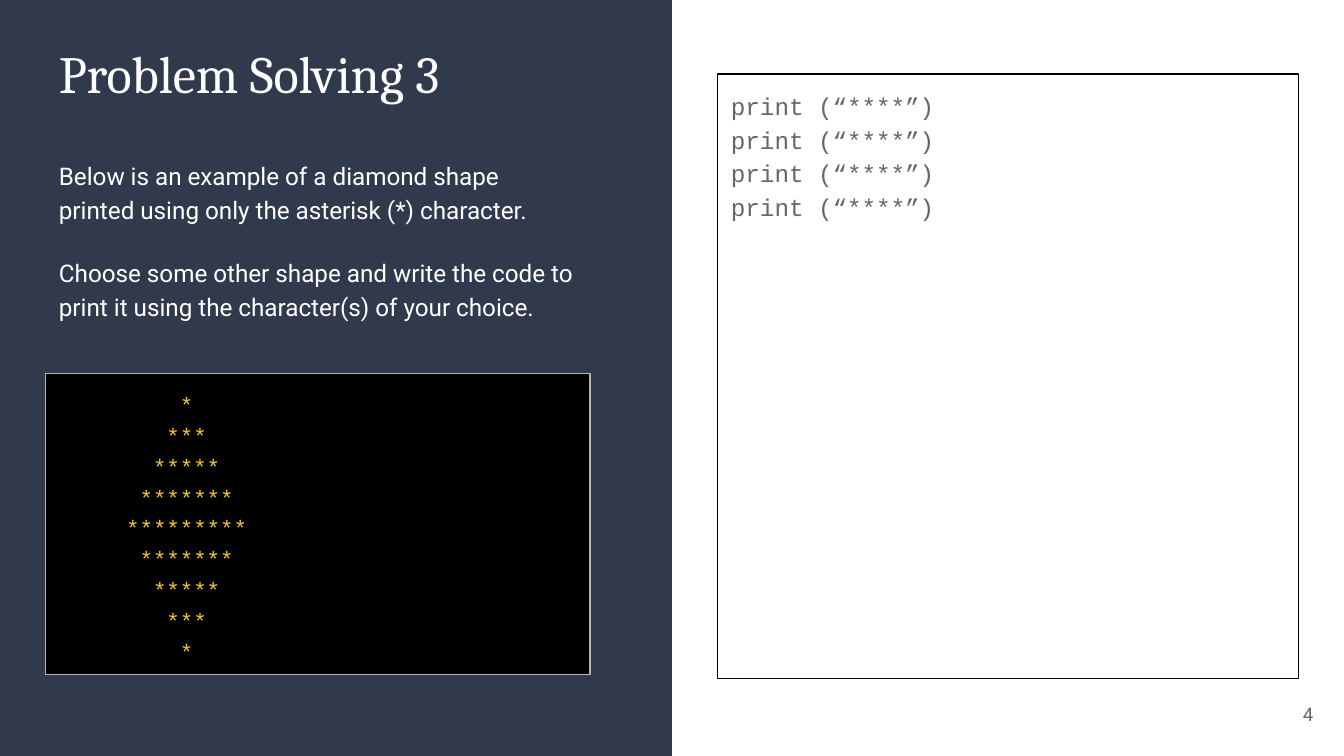
from pptx import Presentation
from pptx.dml.color import RGBColor
from pptx.enum.shapes import MSO_SHAPE
from pptx.enum.text import MSO_ANCHOR, PP_ALIGN
from pptx.util import Inches, Pt

RECTANGLE = MSO_SHAPE.RECTANGLE
TOP, MIDDLE = MSO_ANCHOR.TOP, MSO_ANCHOR.MIDDLE
LEFT, RIGHT = PP_ALIGN.LEFT, PP_ALIGN.RIGHT

NAVY = RGBColor(0x31, 0x39, 0x4D)
WHITE = RGBColor(0xFF, 0xFF, 0xFF)
BLACK = RGBColor(0, 0, 0)
GRAY = RGBColor(0x66, 0x66, 0x66)
SILVER = RGBColor(0xB7, 0xB7, 0xB7)
GOLD = RGBColor(0xF1, 0xC2, 0x32)

SERIF, SANS, MONO = "Cambria", "Roboto", "Courier New"
WIDTH = 10
HEIGHT = WIDTH * 9 / 16
INSET = 0.1
STAR_WIDTH = 0.1
WIDEST_ROW = 9


def add_panel(page, box, fill=None, line=None):
    """Add a rectangle with an optional fill and thin outline."""
    panel = page.shapes.add_shape(RECTANGLE, *map(Inches, box))
    panel.shadow.inherit = False
    if fill is None:
        panel.fill.background()
    else:
        panel.fill.solid()
        panel.fill.fore_color.rgb = fill
    if line is None:
        panel.line.fill.background()
    else:
        panel.line.color.rgb = line
        panel.line.width = Pt(0.75)
    return panel


def write_lines(shape, lines, font, size, color, spacing=1.15, align=LEFT, anchor=TOP):
    """Fill a shape with one paragraph per line and return the paragraphs."""
    frame = shape.text_frame
    frame.word_wrap = True
    frame.vertical_anchor = anchor
    frame.margin_left = frame.margin_right = Inches(INSET)
    frame.margin_top = frame.margin_bottom = Inches(INSET)
    frame.text = "\n".join(lines)
    for para in frame.paragraphs:
        para.alignment = align
        para.line_spacing = spacing
        for span in para.runs:
            span.font.name = font
            span.font.size = Pt(size)
            span.font.color.rgb = color
    return frame.paragraphs


def add_text(page, box, lines, font, size, color, **options):
    """Add a text box and return its paragraphs."""
    text_box = page.shapes.add_textbox(*map(Inches, box))
    return write_lines(text_box, lines, font, size, color, **options)


def add_diamond(page, box):
    """Add the console panel with a diamond of asterisks."""
    rows = [WIDEST_ROW - 2 * abs(step) for step in range(-4, 5)]
    console = add_panel(page, box, BLACK, SILVER)
    paras = write_lines(console, ["*" * stars for stars in rows], MONO, 12, GOLD)
    for para, stars in zip(paras, rows):
        indent = STAR_WIDTH * (WIDEST_ROW - stars // 2)
        properties = para._p.get_or_add_pPr()
        properties.set("marL", str(Inches(indent)))
        properties.set("indent", "0")


def add_task(page, box):
    """Add the dark half with title, instructions and example."""
    left, top = box[:2]
    add_panel(page, box, NAVY)
    text_left, text_width = left + 0.34, 4.05
    add_text(page, (text_left, top + 0.21, text_width, 2.24),
             ["Problem Solving 3"], SERIF, 28, WHITE, spacing=1.0)
    paras = add_text(page, (text_left, top + 1.07, text_width, 1.42), [
        "Below is an example of a diamond shape printed using only the "
        "asterisk (*) character.",
        "Choose some other shape and write the code to print it using the "
        "character(s) of your choice.",
    ], SANS, 13, WHITE)
    paras[1].space_before = paras[1].space_after = Pt(16)
    add_diamond(page, (text_left, top + 2.78, text_width, 2.24))


def add_answer(page, box):
    """Add the light half with the code frame and page number."""
    left, top = box[:2]
    code = add_panel(page, (left + 0.34, top + 0.55, 4.32, 4.5), line=BLACK)
    write_lines(code, ["print (“****”)"] * 4, MONO, 13, GRAY)
    add_text(page, (left + 4.27, top + 5.1, 0.6, 0.43), ["4"], SANS, 10, GRAY,
             spacing=1.0, align=RIGHT, anchor=MIDDLE)


def build():
    """Build and save the deck."""
    deck = Presentation()
    deck.slide_width, deck.slide_height = Inches(WIDTH), Inches(HEIGHT)
    page = deck.slides.add_slide(deck.slide_layouts[6])
    half = WIDTH / 2
    add_task(page, (0, 0, half, HEIGHT))
    add_answer(page, (half, 0, half, HEIGHT))
    deck.save("out.pptx")


build()
